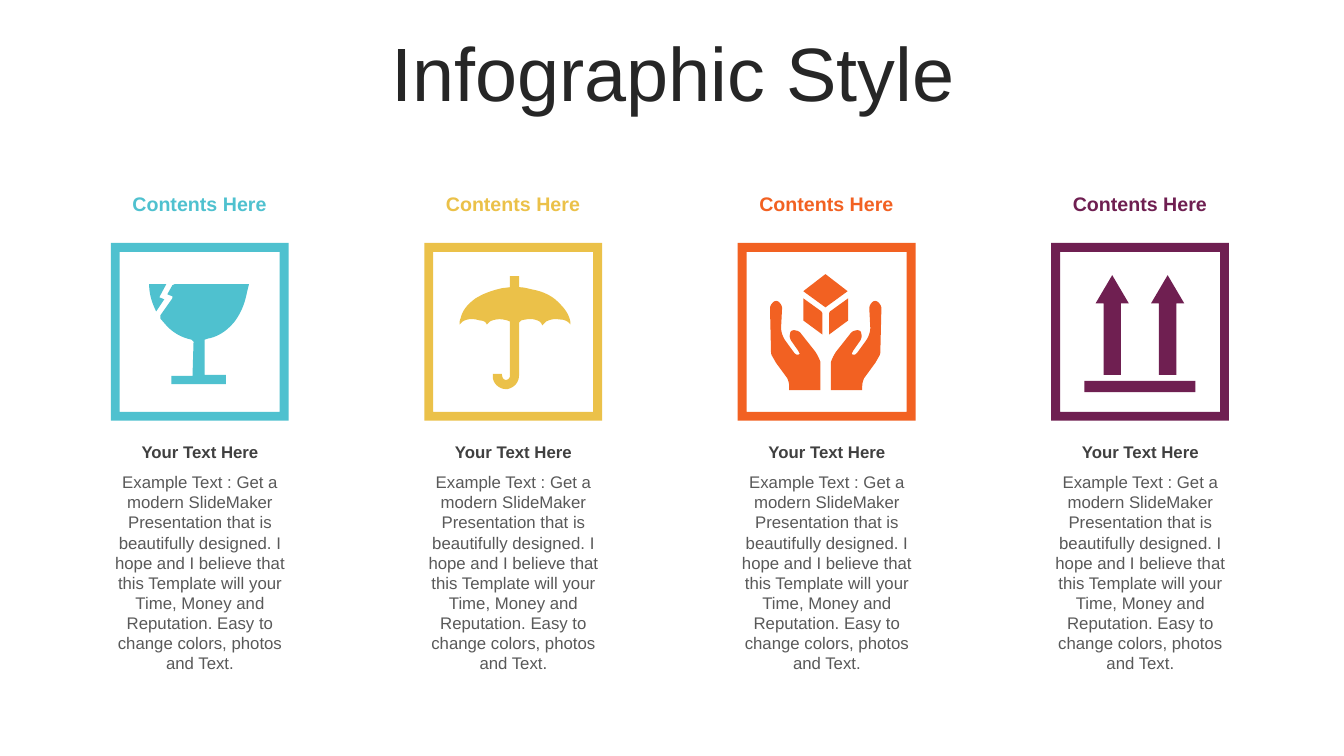
"""Build an infographic slide with four framed packaging symbols and captions."""
from pptx import Presentation, util as u
from pptx.dml.color import RGBColor
from pptx.enum import shapes, text


def paint(fill, color):
    fill.solid()
    fill.fore_color.rgb = RGBColor.from_string(color)


def mirror(outline):
    return [[174.5 - value if i % 2 == 0 else value for i, value in enumerate(step)]
            for step in outline]


deck = Presentation()
deck.slide_width, deck.slide_height = u.Pt(960), u.Pt(540)
page = deck.slides.add_slide(deck.slide_layouts[6])

UNIT = u.Pt(0.72)
PITCH = 223.9
FRAME_LEFT, FRAME_TOP, FRAME_SIZE = 79.2, 173.5, 127
CURVE_STEPS = 10
BODY = ("Example Text : Get a modern SlideMaker Presentation that is beautifully designed. "
        "I hope and I believe that this Template will your Time, Money and Reputation. "
        "Easy to change colors, photos and Text.")

# Two numbers draw a line to a point; six draw a cubic curve.
glass = [(61, 53), (56, 51), (61, 42), (63, 41), (137, 41), (135, 49),
         (133, 60, 129, 70, 122, 79), (115, 87, 107, 93, 96, 95), (93, 96), (93, 131),
         (114, 131), (114, 140), (60, 140), (60, 132), (81, 132), (82, 98), (80, 96),
         (70, 94, 62, 89, 56, 83), (49, 75), (49, 72), (61, 55)]
shard = [(48, 54), (53, 56), (45, 68), (41, 60, 38, 51, 38, 41), (55, 41)]
umbrella = [(62, 81), (61, 78, 58, 77, 55, 77), (49, 75, 43, 75, 38, 78), (35, 81),
            (35, 79, 35, 77, 36, 75), (38, 66, 44, 60, 51, 55), (59, 50, 68, 47, 77, 45),
            (85, 44), (85, 33), (94, 33), (94, 44), (98, 44, 102, 45, 106, 46),
            (117, 48, 127, 52, 135, 61), (140, 66, 144, 72, 145, 79), (145, 81),
            (142, 77, 138, 76, 134, 76), (129, 75, 125, 76, 121, 78), (117, 82),
            (116, 78, 113, 77, 109, 76), (105, 75, 100, 76, 96, 77), (94, 79), (94, 131),
            (94, 138, 90, 143, 83, 145), (76, 146, 69, 141, 68, 134), (68, 130), (77, 130),
            (77, 134, 79, 136, 81, 136), (83, 136, 85, 134, 85, 132), (85, 78),
            (78, 75, 71, 75, 65, 78)]
hand = [(82, 146), (51, 146), (51, 142), (51, 139, 50, 136, 49, 134), (38, 119), (34, 112),
        (33, 110, 33, 109, 33, 107), (32, 65), (32, 63, 33, 61, 35, 59),
        (37, 57, 40, 57, 42, 60), (43, 61, 44, 63, 44, 65), (43, 84),
        (43, 89, 45, 94, 48, 98), (56, 109), (57, 110, 58, 111, 59, 111),
        (61, 111, 62, 110, 61, 109), (60, 107), (53, 97), (52, 95, 51, 93, 52, 90),
        (52, 87, 55, 86, 58, 87), (59, 87, 61, 88, 62, 89), (77, 108),
        (79, 111, 81, 115, 82, 118), (82, 120)]
box_top = [(109, 48), (87, 64), (65, 48), (87, 31)]
box_side = [(84, 91), (65, 77), (65, 55), (83, 68), (84, 70)]

preset = shapes.MSO_SHAPE
up_arrows = [(preset.UP_ARROW, left, 32, 33, 99, (0.52, 0.85)) for left in (44, 99)]
base_bar = (preset.RECTANGLE, 33, 137, 110, 11, ())
columns = [
    ("4FC1CF", [glass, shard], []),
    ("EBC149", [umbrella], []),
    ("F26122", [hand, mirror(hand), box_top, box_side, mirror(box_side)], []),
    ("6F1F51", [], [*up_arrows, base_bar]),
]

labels = [(25.2, 26.6, 911.5, 56.9, "Infographic Style", 54, "262626", False)]
for index, (color, outlines, presets) in enumerate(columns):
    shift = index * PITCH
    left = u.Pt(FRAME_LEFT + shift)
    top = u.Pt(FRAME_TOP)

    frame = page.shapes.add_shape(preset.FRAME, left, top, u.Pt(FRAME_SIZE), u.Pt(FRAME_SIZE))
    frame.adjustments[0] = 0.05
    symbols = [frame]

    for outline in outlines:
        points = [outline[0]]
        for step in outline[1:]:
            if len(step) == 2:
                points.append(step)
                continue
            x0, y0 = points[-1]
            x1, y1, x2, y2, x3, y3 = step
            for i in range(1, CURVE_STEPS + 1):
                t = i / CURVE_STEPS
                a, b, c, d = (1 - t) ** 3, 3 * t * (1 - t) ** 2, 3 * t * t * (1 - t), t ** 3
                points.append((a * x0 + b * x1 + c * x2 + d * x3,
                               a * y0 + b * y1 + c * y2 + d * y3))
        corners = [(left + x * UNIT, top + y * UNIT) for x, y in points]
        builder = page.shapes.build_freeform(*corners[0])
        builder.add_line_segments(corners[1:], close=True)
        symbols.append(builder.convert_to_shape())

    for kind, x, y, width, height, ratios in presets:
        symbol = page.shapes.add_shape(kind, int(left + x * UNIT), int(top + y * UNIT),
                                       width * UNIT, height * UNIT)
        for i, ratio in enumerate(ratios):
            symbol.adjustments[i] = ratio
        symbols.append(symbol)

    for symbol in symbols:
        symbol.shadow.inherit = False
        paint(symbol.fill, color)
        symbol.line.fill.background()

    labels += [
        (61.2 + shift, 133.9, 162.7, 24.5, "Contents Here", 14, color, True),
        (66.2 + shift, 311.8, 153.4, 21.6, "Your Text Here", 12, "404040", True),
        (66.2 + shift, 333.4, 153.4, 152.6, BODY, 12, "595959", False),
    ]

for left, top, width, height, words, size, color, bold in labels:
    box = page.shapes.add_textbox(u.Pt(left), u.Pt(top), u.Pt(width), u.Pt(height))
    box.text_frame.word_wrap = True
    para = box.text_frame.paragraphs[0]
    para.alignment = text.PP_ALIGN.CENTER
    if size == 54:
        box.text_frame.vertical_anchor = text.MSO_ANCHOR.MIDDLE
        para.line_spacing = 0.9
    span = para.add_run()
    span.text = words
    span.font.name = "Arial"
    span.font.size = u.Pt(size)
    span.font.bold = bold
    paint(span.font.fill, color)

deck.save("out.pptx")
